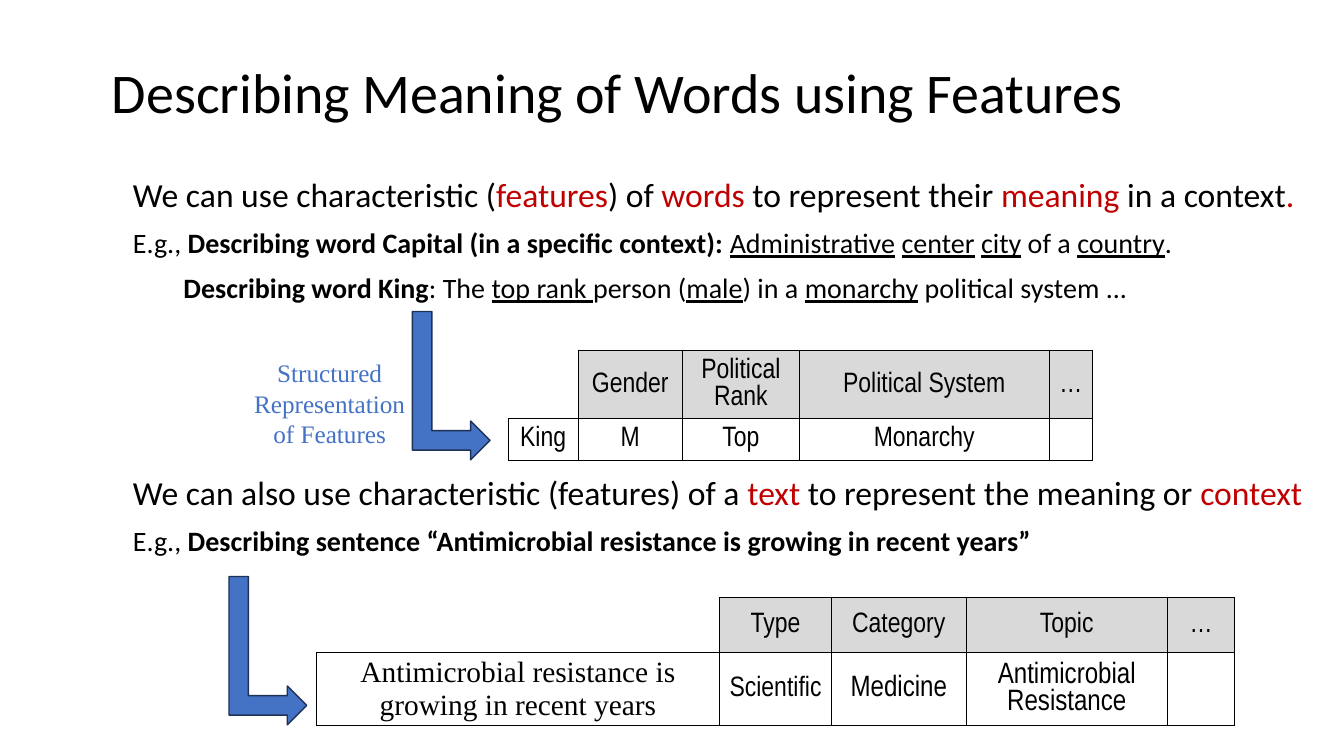
from dataclasses import dataclass

from lxml.etree import SubElement
from pptx import Presentation
from pptx.dml.color import RGBColor
from pptx.enum.shapes import MSO_SHAPE as Shape
from pptx.enum.text import MSO_ANCHOR as Anchor, PP_ALIGN as Align
from pptx.oxml.ns import qn
from pptx.util import Pt

COLORS = {
    "text": "000000",
    "accent": "C00000",
    "blue": "4472C4",
    "outline": "1E3256",
    "header": "D9D9D9",
}


@dataclass
class Piece:
    text: str
    color: str = "text"
    bold: bool = False
    underline: bool = False


@dataclass
class Line:
    size: float
    pieces: list[Piece]
    indent: float = 0
    space_before: float = 0


@dataclass
class CellText:
    text: str
    size: float = 20
    font: str = "Arial Narrow"


@dataclass
class FeatureTable:
    left: float
    top: float
    widths: list[float]
    heights: list[float]
    features: list[str]
    values: list[CellText]


def accent(text: str) -> Piece:
    return Piece(text, color="accent")


def bold(text: str) -> Piece:
    return Piece(text, bold=True)


def under(text: str) -> Piece:
    return Piece(text, underline=True)


BODY = [
    Line(24, [Piece("We can use characteristic ("), accent("features"), Piece(") of "),
              accent("words"), Piece(" to represent their "), accent("meaning"),
              Piece(" in a context"), accent(".")]),
    Line(20, [Piece("E.g., "), bold("Describing word Capital (in a specific context): "),
              under("Administrative"), Piece(" "), under("center"), Piece(" "),
              under("city"), Piece(" of a "), under("country"), Piece(".")]),
    Line(20, [bold("Describing word King"), Piece(": The "), under("top rank "),
              Piece("person ("), under("male"), Piece(") in a "), under("monarchy"),
              Piece(" political system ...")], indent=36),
    Line(24, [Piece("We can also use characteristic (features) of a "), accent("text"),
              Piece(" to represent the meaning or "), accent("context")], space_before=112),
    Line(20, [Piece("E.g., "),
              bold("Describing sentence “Antimicrobial resistance is growing in recent years”")]),
]

TABLES = [
    FeatureTable(
        363, 250, [50, 74.5, 83.5, 178.5, 31], [49, 29.5],
        ["", "Gender", "Political Rank", "Political System", "…"],
        [CellText("King"), CellText("M"), CellText("Top"), CellText("Monarchy"), CellText("")]),
    FeatureTable(
        226, 426.5, [288, 80, 96, 144, 48], [39.5, 52],
        ["", "Type", "Category", "Topic", "…"],
        [CellText("Antimicrobial resistance is growing in recent years", 21, "Times New Roman"),
         CellText("Scientific"), CellText("Medicine", 21),
         CellText("Antimicrobial Resistance", 21), CellText("")]),
]

# Left and top of each arrow before its quarter turn
ARROWS = [(269.3, 247.7), (138.3, 437)]


def rgb(name: str) -> RGBColor:
    return RGBColor.from_string(COLORS[name])


def style_font(font, name: str, size: float, color: str = "text") -> None:
    font.name = name
    font.size = Pt(size)
    font.color.rgb = rgb(color)


def add_text_frame(slide, left: float, top: float, width: float, height: float,
                   inset: bool = False):
    text_frame = slide.shapes.add_textbox(Pt(left), Pt(top), Pt(width), Pt(height)).text_frame
    text_frame.word_wrap = True
    if not inset:
        text_frame.margin_left = text_frame.margin_right = 0
        text_frame.margin_top = text_frame.margin_bottom = 0
    return text_frame


def add_title(slide) -> None:
    text_frame = add_text_frame(slide, 80, 44, 747, 48)
    text_frame.vertical_anchor = Anchor.MIDDLE
    text_frame.text = "Describing Meaning of Words using Features"
    paragraph = text_frame.paragraphs[0]
    paragraph.line_spacing = 0.9
    style_font(paragraph.runs[0].font, "Calibri", 40)


def add_body(slide, lines: list[Line]) -> None:
    text_frame = add_text_frame(slide, 95, 124.5, 851, 394)
    for index, line in enumerate(lines):
        paragraph = text_frame.add_paragraph() if index else text_frame.paragraphs[0]
        paragraph.space_after = Pt(8)
        if line.space_before:
            paragraph.space_before = Pt(line.space_before)
        if line.indent:
            paragraph._p.get_or_add_pPr().set("marL", str(Pt(line.indent)))
        for piece in line.pieces:
            run = paragraph.add_run()
            run.text = piece.text
            style_font(run.font, "Calibri", line.size, piece.color)
            run.font.bold = piece.bold
            run.font.underline = piece.underline


def set_borders(cell, sides: str) -> None:
    properties = cell._tc.get_or_add_tcPr()
    for side in "LRTB":
        border = SubElement(properties, qn(f"a:ln{side}"), w=str(Pt(0.5)))
        if side in sides:
            fill = SubElement(border, qn("a:solidFill"))
            SubElement(fill, qn("a:srgbClr"), val=COLORS["text"])
        else:
            SubElement(border, qn("a:noFill"))


def fill_cell(cell, content: CellText, is_header: bool) -> None:
    cell.margin_left = cell.margin_right = cell.margin_top = Pt(0.7)
    cell.margin_bottom = 0
    cell.vertical_anchor = Anchor.MIDDLE
    is_corner = is_header and not content.text
    set_borders(cell, "RB" if is_corner else "LRTB")
    if is_header and not is_corner:
        cell.fill.solid()
        cell.fill.fore_color.rgb = rgb("header")
    else:
        cell.fill.background()
    cell.text_frame.text = content.text
    paragraph = cell.text_frame.paragraphs[0]
    paragraph.alignment = Align.CENTER
    for run in paragraph.runs:
        style_font(run.font, content.font, content.size)


def add_feature_table(slide, data: FeatureTable) -> None:
    rows = [[CellText(feature) for feature in data.features], data.values]
    table = slide.shapes.add_table(
        len(rows), len(data.widths), Pt(data.left), Pt(data.top),
        Pt(sum(data.widths)), Pt(sum(data.heights))).table
    table.first_row = table.horz_banding = False
    for column, width in zip(table.columns, data.widths):
        column.width = Pt(width)
    for row_index, contents in enumerate(rows):
        table.rows[row_index].height = Pt(data.heights[row_index])
        for column_index, content in enumerate(contents):
            fill_cell(table.cell(row_index, column_index), content, row_index == 0)


def add_arrow(slide, left: float, top: float) -> None:
    shape = slide.shapes.add_shape(Shape.BENT_UP_ARROW, Pt(left), Pt(top), Pt(106), Pt(55.5))
    shape.rotation = 90
    shape.shadow.inherit = False
    shape.fill.solid()
    shape.fill.fore_color.rgb = rgb("blue")
    shape.line.color.rgb = rgb("outline")
    shape.line.width = Pt(1)


def add_arrow_label(slide) -> None:
    text_frame = add_text_frame(slide, 163.5, 252, 144, 72.5, inset=True)
    text_frame.text = "Structured Representation\nof Features"
    for paragraph in text_frame.paragraphs:
        paragraph.alignment = Align.CENTER
        style_font(paragraph.runs[0].font, "Times New Roman", 18, "blue")


def main() -> None:
    presentation = Presentation()
    presentation.slide_width, presentation.slide_height = Pt(960), Pt(540)
    slide = presentation.slides.add_slide(presentation.slide_layouts[6])
    add_title(slide)
    add_body(slide, BODY)
    for data in TABLES:
        add_feature_table(slide, data)
    for left, top in ARROWS:
        add_arrow(slide, left, top)
    add_arrow_label(slide)
    presentation.save("out.pptx")


if __name__ == "__main__":
    main()
